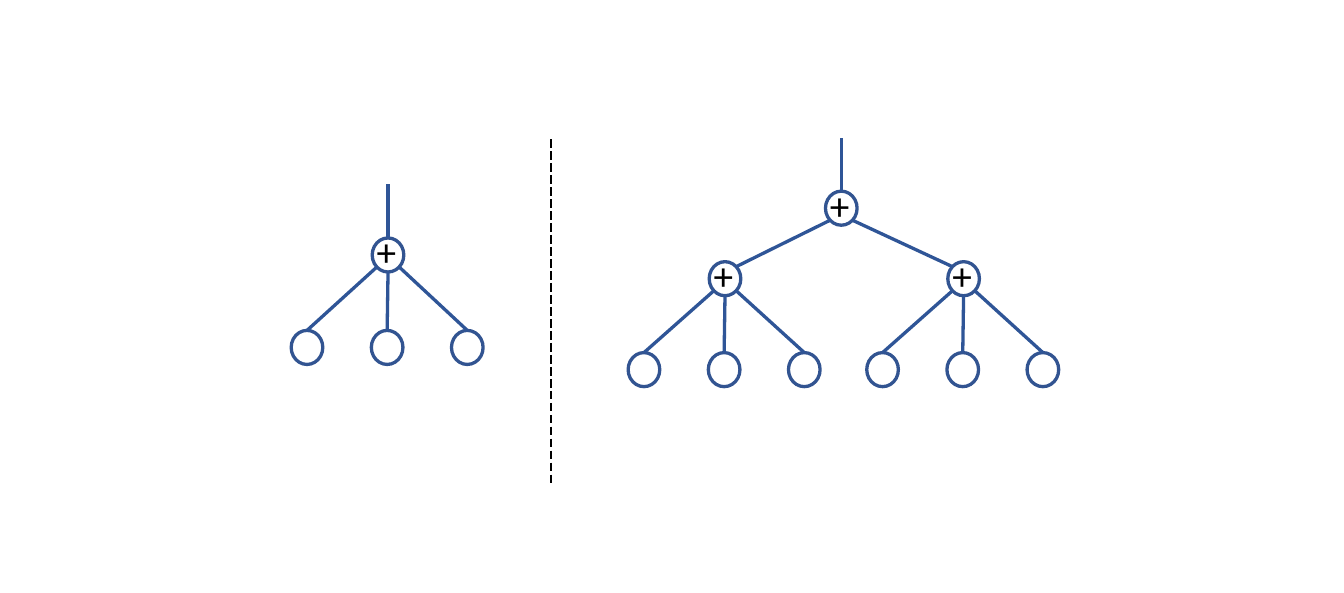
import pptx
import pptx.util
import pptx.dml.color
import pptx.enum.dml
import pptx.enum.shapes
import pptx.enum.text
import pptx.oxml
import pptx.oxml.ns
from lxml import etree

Pt = pptx.util.Pt
RGBColor = pptx.dml.color.RGBColor

NODE_BLUE = RGBColor(0x32, 0x54, 0x91)
EDGE_BLUE = RGBColor(0x2F, 0x55, 0x97)
BLACK = RGBColor(0, 0, 0)

OPERATOR = "+"
ROOT = (766.2, 189.6)
ROOT_STEM = 48.3
ROOT_CHILDREN = [(660.3, 253.8), (877.6, 253.8)]
SINGLE = (353.4, 232.2)
SINGLE_STEM = 49
DIVIDER = ((501.8, 126.7), (501.8, 442.8))

NODE_W, NODE_H = 28.8, 31
DIAG_X, DIAG_Y = NODE_W / 8 ** 0.5, NODE_H / 8 ** 0.5
LEAF_GAP = 73
LEAF_SHIFT = -0.8
SINGLE_DROP, CHILD_DROP = 84.2, 82.8
SIGN_DX, SIGN_DY, SIGN_W, SIGN_H = -17.4, -28.4, 31, 50.4

prs = pptx.Presentation()
prs.slide_width, prs.slide_height = Pt(17 * 72), Pt(7.5 * 72)
slide = prs.slides.add_slide(prs.slide_layouts[6])


def add_line(start, end, color=EDGE_BLUE, width=3):
    line = slide.shapes.add_connector(
        pptx.enum.shapes.MSO_CONNECTOR.STRAIGHT, *(Pt(v) for v in (*start, *end)))
    line.line.color.rgb = color
    line.line.width = Pt(width)
    etree.SubElement(line._element.spPr, pptx.oxml.ns.qn("a:effectLst"))
    return line


def add_node(x, y):
    node = slide.shapes.add_shape(
        pptx.enum.shapes.MSO_SHAPE.OVAL,
        Pt(x - NODE_W / 2), Pt(y - NODE_H / 2), Pt(NODE_W), Pt(NODE_H))
    node.shadow.inherit = False
    node.fill.background()
    node.line.color.rgb = NODE_BLUE
    node.line.width = Pt(3)


def add_sum(x, y):
    add_node(x, y)
    sign = slide.shapes.add_textbox(
        Pt(x + SIGN_DX), Pt(y + SIGN_DY), Pt(SIGN_W), Pt(SIGN_H))
    frame = sign.text_frame
    frame.text = OPERATOR
    frame.word_wrap = False
    frame.auto_size = pptx.enum.text.MSO_AUTO_SIZE.SHAPE_TO_FIT_TEXT
    run = frame.paragraphs[0].runs[0]
    run.font.size = Pt(35.7)
    run.font.name = "Calibri"
    run.font.color.rgb = BLACK
    outline = pptx.oxml.parse_xml(
        f'<a:ln {pptx.oxml.ns.nsdecls("a")} w="{Pt(0.75)}">'
        f'<a:solidFill><a:srgbClr val="{EDGE_BLUE}"/></a:solidFill></a:ln>')
    run.font._element.insert(0, outline)


def add_stem(x, y, length):
    top = y - NODE_H / 2
    add_line((x, top), (x, top - length))


def add_sum_with_leaves(x, y, drop):
    add_sum(x, y)
    for side in (-1, 0, 1):
        leaf_x, leaf_y = x + LEAF_SHIFT + side * LEAF_GAP, y + drop
        add_node(leaf_x, leaf_y)
        exit_y = y + (DIAG_Y if side else NODE_H / 2)
        add_line((x + side * DIAG_X, exit_y), (leaf_x, leaf_y - NODE_H / 2))


add_sum(*ROOT)
add_stem(*ROOT, ROOT_STEM)
for side, (child_x, child_y) in zip((-1, 1), ROOT_CHILDREN):
    add_sum_with_leaves(child_x, child_y, CHILD_DROP)
    add_line((ROOT[0] + side * DIAG_X, ROOT[1] + DIAG_Y),
             (child_x - side * DIAG_X, child_y - DIAG_Y))

divider = add_line(*DIVIDER, BLACK, 1)
divider.line.dash_style = pptx.enum.dml.MSO_LINE.LONG_DASH

add_sum_with_leaves(*SINGLE, SINGLE_DROP)
add_stem(*SINGLE, SINGLE_STEM)

prs.save("out.pptx")
